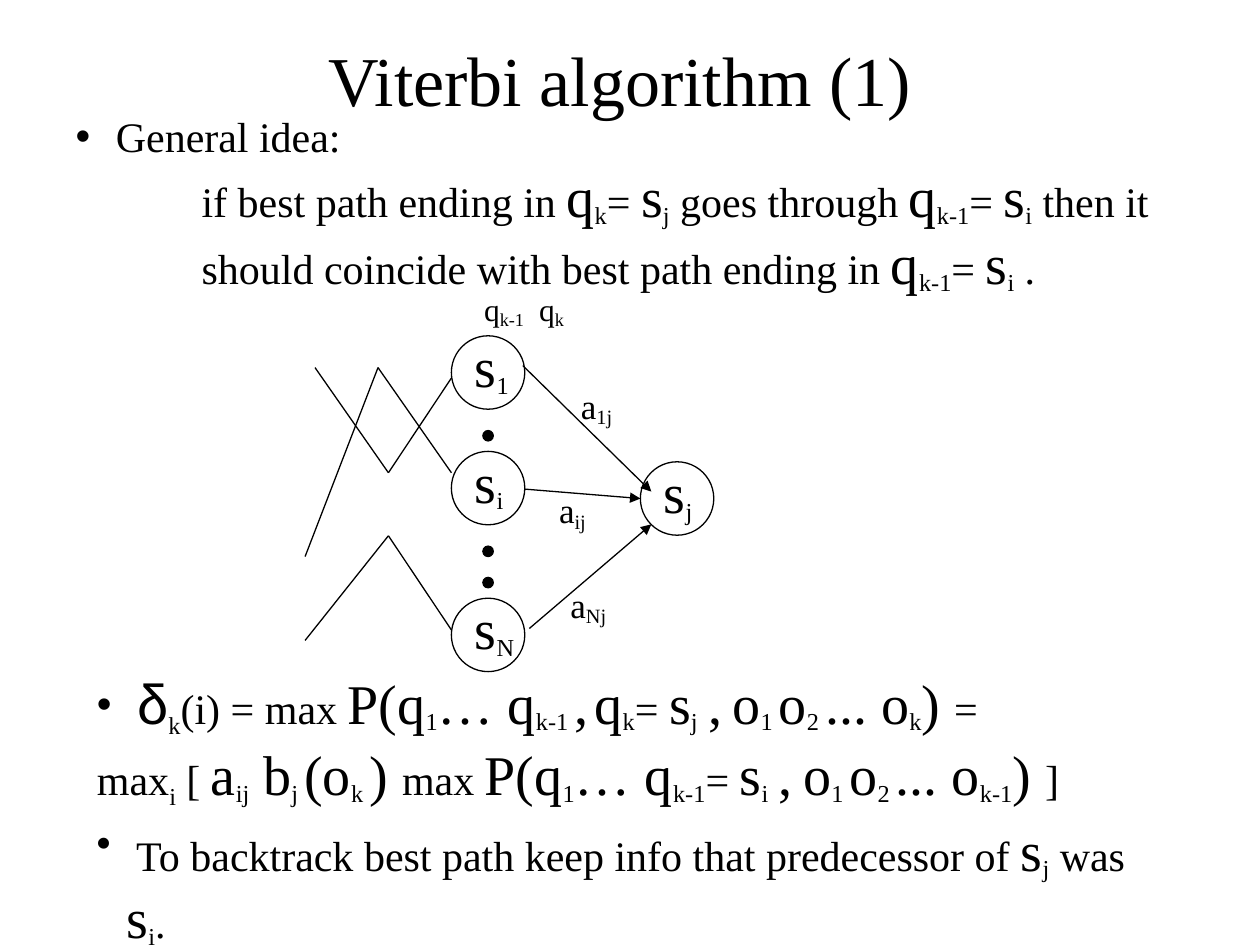
from dataclasses import dataclass
from itertools import pairwise
from typing import NamedTuple

from lxml.etree import SubElement
from pptx import Presentation
from pptx.dml.color import RGBColor
from pptx.enum.shapes import MSO_CONNECTOR, MSO_SHAPE
from pptx.enum.text import MSO_ANCHOR, MSO_AUTO_SIZE, PP_ALIGN
from pptx.oxml.ns import qn
from pptx.util import Cm, Pt


@dataclass(frozen=True)
class Theme:
    ink: RGBColor = RGBColor(0, 0, 0)
    font: str = "Times New Roman"
    greek_font: str = "Arial"
    title: int = 40
    symbol: int = 32
    text: int = 24
    edge: int = 20
    header: int = 18
    line: float = 0.75
    hanging: float = 0.6


THEME = Theme()


class Span(NamedTuple):
    text: str
    size: int = THEME.text
    drop: int = 0
    font: str = THEME.font


class Paragraph(NamedTuple):
    spans: list[Span]
    bullet: bool = False
    indent: float = 0
    tab: float = 0
    align: PP_ALIGN = PP_ALIGN.LEFT


class Frame(NamedTuple):
    left: float
    top: float
    width: float
    height: float


class Node(NamedTuple):
    left: float
    top: float
    index: str
    label_width: float


class Edge(NamedTuple):
    start: tuple[float, float]
    end: tuple[float, float]
    index: str
    label: Frame


def big(text: str) -> Span:
    return Span(text, THEME.symbol)


def sub(text: str, size: int = THEME.text) -> Span:
    return Span(text, size, -16)


def indexed(symbol: str, index: str) -> list[Span]:
    return [big(symbol), sub(index)]


def state(time: str, index: str) -> list[Span]:
    return [*indexed("q", time), Span("= "), *indexed("s", index)]


def observations(last: str) -> list[Span]:
    return [Span(" "), big(","), Span(" "), *indexed("o", "1 "), *indexed("o", "2 "),
            *indexed("... o", last), big(") ")]


PATH_START = [*indexed("P(q", "1"), big("… ")]

IDEA = [
    Paragraph([Span(" General idea:")], bullet=True),
    Paragraph([Span("if best path ending in "), *state("k", "j"), Span(" goes through "),
               *state("k-1", "i"),
               Span(" then it should coincide with best path ending in "),
               *state("k-1", "i"), Span(" .")], indent=2.54),
]
FORMULA = [
    Paragraph([Span(" "), Span("δ", THEME.symbol, font=THEME.greek_font),
               Span("k", drop=-25), Span("(i) = max "), *PATH_START,
               *indexed("q", "k-1 "), big(","), sub(" "), *state("k", "j"),
               *observations("k"), Span("=")], bullet=True),
    Paragraph([Span("max"), Span("i", drop=-25), Span(" [ "), *indexed("a", "ij"),
               *indexed(" b", "j "), *indexed("(o", "k "), big(") "), Span("max "),
               *PATH_START, *state("k-1", "i"), *observations("k-1"), Span("]")]),
]
BACKTRACK = [
    Paragraph([Span(" To backtrack best path keep info that predecessor of "),
               *indexed("s", "j"), Span(" was "), *indexed("s", "i"), Span(".")],
              bullet=True),
]
TITLE = [Paragraph([Span("Viterbi algorithm (1)", THEME.title)], align=PP_ALIGN.CENTER)]
HEADERS = [Paragraph([Span(" q", THEME.header), sub("k-1", THEME.header),
                      Span("\tq", THEME.header), sub("k", THEME.header)], tab=3.48)]

NODE_SIZE = 1.48
DOT_SIZE = 0.21
COLUMN = 9.1
NODES = [
    Node(COLUMN, 6.77, "1", 1.19),
    Node(COLUMN, 9.1, "i", 1.07),
    Node(COLUMN, 12.06, "N", 1.3),
    Node(12.91, 9.31, "j", 1.07),
]
DOT_TOPS = [8.68, 11.01, 11.64]
EDGES = [
    Edge((10.54, 7.37), (13.13, 9.91), "1j", Frame(11.46, 7.62, 1.14, 1.17)),
    Edge((10.58, 9.86), (12.91, 10.05), "ij", Frame(11.02, 9.73, 1.04, 1.17)),
    Edge((10.67, 12.67), (13.13, 10.57), "Nj", Frame(11.25, 11.63, 1.22, 1.17)),
]
INCOMING_PATHS = [
    [(6.35, 7.41), (7.83, 9.53), (COLUMN, 7.62)],
    [(6.15, 11.22), (7.62, 7.41), (COLUMN, 9.53)],
    [(6.15, 12.91), (7.83, 10.8), (COLUMN, 12.7)],
]


def write(box, paragraphs: list[Paragraph], wrap: bool = True,
          anchor: MSO_ANCHOR = MSO_ANCHOR.TOP) -> None:
    frame = box.text_frame
    frame.word_wrap = wrap
    frame.auto_size = MSO_AUTO_SIZE.NONE
    frame.vertical_anchor = anchor
    for number, content in enumerate(paragraphs):
        para = frame.add_paragraph() if number else frame.paragraphs[0]
        para.alignment = content.align
        para.space_before = Pt(0)
        properties = para._p.get_or_add_pPr()
        hanging = THEME.hanging if content.bullet else 0
        properties.set("marL", str(Cm(content.indent + hanging)))
        properties.set("indent", str(Cm(-hanging)))
        if content.bullet:
            SubElement(properties, qn("a:buChar")).set("char", "•")
        else:
            SubElement(properties, qn("a:buNone"))
        if content.tab:
            stop = SubElement(SubElement(properties, qn("a:tabLst")), qn("a:tab"))
            stop.set("pos", str(Cm(content.tab)))
            stop.set("algn", "l")
        for part in content.spans:
            span = para.add_run()
            span.text = part.text
            span.font.name = part.font
            span.font.size = Pt(part.size)
            span.font.color.rgb = THEME.ink
            if part.drop:
                span._r.get_or_add_rPr().set("baseline", str(part.drop * 1000))


def fill_placeholder(box, frame: Frame, paragraphs: list[Paragraph],
                     anchor: MSO_ANCHOR = MSO_ANCHOR.TOP) -> None:
    box.left, box.top, box.width, box.height = map(Cm, frame)
    write(box, paragraphs, anchor=anchor)


def add_text(page, frame: Frame, paragraphs: list[Paragraph], wrap: bool = False) -> None:
    write(page.shapes.add_textbox(*map(Cm, frame)), paragraphs, wrap)


def add_circle(page, left: float, top: float, size: float, filled: bool = False) -> None:
    circle = page.shapes.add_shape(MSO_SHAPE.OVAL, *map(Cm, (left, top, size, size)))
    circle.shadow.inherit = False
    circle.line.color.rgb = THEME.ink
    circle.line.width = Pt(THEME.line)
    if filled:
        circle.fill.solid()
        circle.fill.fore_color.rgb = THEME.ink
    else:
        circle.fill.background()


def add_line(page, start: tuple[float, float], end: tuple[float, float],
             arrow: bool = False) -> None:
    line = page.shapes.add_connector(MSO_CONNECTOR.STRAIGHT, *map(Cm, (*start, *end)))
    line.line.color.rgb = THEME.ink
    line.line.width = Pt(THEME.line)
    if arrow:
        SubElement(line.line._get_or_add_ln(), qn("a:tailEnd")).set("type", "triangle")
    SubElement(line._element.spPr, qn("a:effectLst"))


def add_node(page, node: Node) -> None:
    add_circle(page, node.left, node.top, NODE_SIZE)
    label = Frame(node.left + 0.22, node.top - 0.21, node.label_width, 1.63)
    add_text(page, label, [Paragraph(indexed("s", node.index))])


def add_edge(page, edge: Edge) -> None:
    add_line(page, edge.start, edge.end, arrow=True)
    spans = [Span("a", THEME.edge), sub(edge.index, THEME.edge)]
    add_text(page, edge.label, [Paragraph(spans)])


def main() -> None:
    deck = Presentation()
    deck.slide_width, deck.slide_height = Cm(25.4), Cm(19.05)
    page = deck.slides.add_slide(deck.slide_layouts[3])
    title, idea, formula = list(page.placeholders)[:3]
    fill_placeholder(title, Frame(1.7, 0, 21.59, 3.18), TITLE, MSO_ANCHOR.MIDDLE)
    fill_placeholder(idea, Frame(1.27, 2.11, 23.11, 4.01), IDEA)
    fill_placeholder(formula, Frame(1.7, 13.34, 22.86, 3.15), FORMULA)
    add_text(page, Frame(1.7, 16.31, 22, 1.63), BACKTRACK, wrap=True)
    add_text(page, Frame(9.35, 5.72, 4.67, 1.07), HEADERS)
    for node in NODES:
        add_node(page, node)
    for top in DOT_TOPS:
        add_circle(page, COLUMN + (NODE_SIZE - DOT_SIZE) / 2, top, DOT_SIZE, filled=True)
    for edge in EDGES:
        add_edge(page, edge)
    for points in INCOMING_PATHS:
        for start, end in pairwise(points):
            add_line(page, start, end)
    deck.save("out.pptx")


if __name__ == "__main__":
    main()
